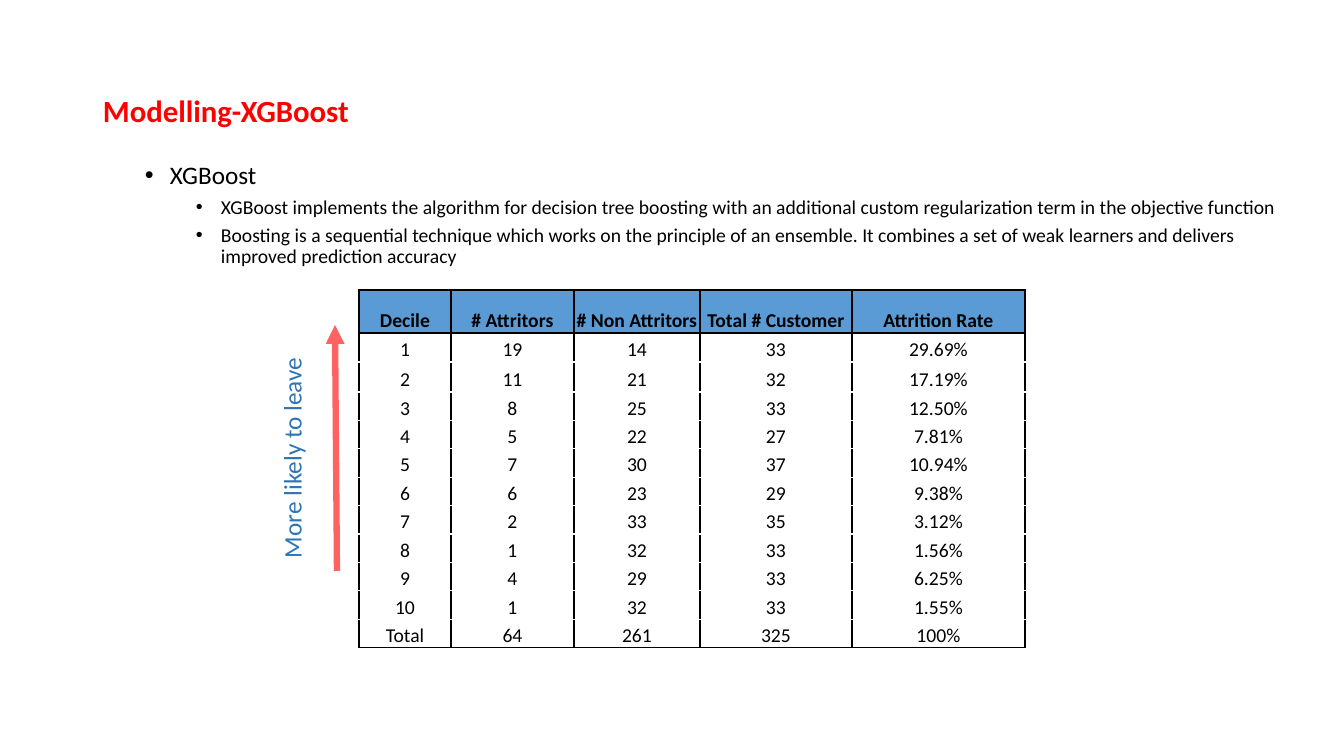
from lxml.etree import SubElement
from pptx import Presentation
from pptx.dml.color import RGBColor
from pptx.enum.shapes import MSO_CONNECTOR
from pptx.enum.text import MSO_ANCHOR, PP_ALIGN
from pptx.oxml import parse_xml
from pptx.oxml.ns import nsdecls, qn
from pptx.util import Emu, Pt

TITLE = "Modelling-XGBoost"
BULLETS = [
    (0, "XGBoost"),
    (1, "XGBoost implements the algorithm for decision tree boosting with an additional "
        "custom regularization term in the objective function"),
    (1, "Boosting is a sequential technique which works on the principle of an ensemble. "
        "It combines a set of weak learners and delivers improved prediction accuracy"),
]
DECILES = [
    ("Decile", "# Attritors", "# Non Attritors", "Total # Customer", "Attrition Rate"),
    ("1", "19", "14", "33", "29.69%"),
    ("2", "11", "21", "32", "17.19%"),
    ("3", "8", "25", "33", "12.50%"),
    ("4", "5", "22", "27", "7.81%"),
    ("5", "7", "30", "37", "10.94%"),
    ("6", "6", "23", "29", "9.38%"),
    ("7", "2", "33", "35", "3.12%"),
    ("8", "1", "32", "33", "1.56%"),
    ("9", "4", "29", "33", "6.25%"),
    ("10", "1", "32", "33", "1.55%"),
    ("Total", "64", "261", "325", "100%"),
]
ARROW_LABEL = "More likely to leave"

FONT = "Calibri"
COLORS = {"title": "FF0000", "text": "000000", "header": "5B9BD5", "body": "FFFFFF",
          "border": "000000", "arrow": "FF2929", "label": "2E75B6"}
BULLET_STYLES = {0: {"size": 18, "indent": 25, "before": 10},
                 1: {"size": 14, "indent": 76, "before": 5}}
HANGING = 25
COLUMN_WIDTHS = [92, 123, 126, 152, 173]
TABLE_LEFT, TABLE_TOP, TABLE_HEIGHT = 359, 290, 358
TOP_ROW_HEIGHTS = [43, 29, 30]


def px(length):
    """Turn pixels into EMU."""
    return Emu(round(length * 914400 / 100.8))


def style(paragraph, size, color, bold=False):
    """Format every run of a paragraph."""
    for run in paragraph.runs:
        run.font.name = FONT
        run.font.size = Pt(size)
        run.font.bold = bold
        run.font.color.rgb = RGBColor.from_string(COLORS[color])


def add_text(slide, box, wrap=True):
    """Add a text box and return it."""
    text_box = slide.shapes.add_textbox(*map(px, box))
    text_box.text_frame.word_wrap = wrap
    return text_box


def add_bullets(frame):
    """Write the bulleted points with hanging indents."""
    for number, (level, point) in enumerate(BULLETS):
        paragraph = frame.add_paragraph() if number else frame.paragraphs[0]
        look = BULLET_STYLES[level]
        paragraph.text = point
        paragraph.level = level
        paragraph.line_spacing = 0.9
        paragraph.space_before = Pt(look["before"])
        style(paragraph, look["size"], "text")
        properties = paragraph._p.get_or_add_pPr()
        properties.set("marL", str(px(look["indent"])))
        properties.set("indent", str(-px(HANGING)))
        SubElement(properties, qn("a:buFont"), typeface="Arial")
        SubElement(properties, qn("a:buChar"), char="•")


def set_borders(cell, top, bottom):
    """Draw dark sides and the given top and bottom edges."""
    edges = {"L": "border", "R": "border", "T": top, "B": bottom}
    for place, (side, color) in enumerate(edges.items()):
        cell._tc.get_or_add_tcPr().insert(place, parse_xml(
            f'<a:ln{side} {nsdecls("a")} w="{Pt(1)}"><a:solidFill>'
            f'<a:srgbClr val="{COLORS[color]}"/></a:solidFill></a:ln{side}>'))


def add_decile_table(slide):
    """Add the table of attrition by decile."""
    last = len(DECILES) - 1
    shared = len(DECILES) - len(TOP_ROW_HEIGHTS)
    heights = TOP_ROW_HEIGHTS + [(TABLE_HEIGHT - sum(TOP_ROW_HEIGHTS)) / shared] * shared
    table = slide.shapes.add_table(
        len(DECILES), len(COLUMN_WIDTHS), px(TABLE_LEFT), px(TABLE_TOP),
        px(sum(COLUMN_WIDTHS)), px(TABLE_HEIGHT)).table
    for column, width in zip(table.columns, COLUMN_WIDTHS):
        column.width = px(width)
    for r, (decile, height) in enumerate(zip(DECILES, heights)):
        table.rows[r].height = px(height)
        header = r == 0
        for c, value in enumerate(decile):
            cell = table.cell(r, c)
            cell.text_frame.text = value
            cell.vertical_anchor = MSO_ANCHOR.BOTTOM
            cell.margin_left = cell.margin_right = cell.margin_top = px(1)
            cell.margin_bottom = 0
            cell.fill.solid()
            cell.fill.fore_color.rgb = RGBColor.from_string(
                COLORS["header" if header else "body"])
            paragraph = cell.text_frame.paragraphs[0]
            paragraph.alignment = PP_ALIGN.CENTER
            style(paragraph, 14, "text", header)
            set_borders(cell, "border" if r <= 1 else "body",
                        "border" if r in (0, last) else "body")


def add_arrow(slide):
    """Add the translucent arrow pointing up to the top decile."""
    arrow = slide.shapes.add_connector(
        MSO_CONNECTOR.STRAIGHT, px(337), px(571), px(335), px(325))
    arrow.line.width = Pt(4.5)
    arrow.line.color.rgb = RGBColor.from_string(COLORS["arrow"])
    line = arrow.line._ln
    SubElement(line.find(".//" + qn("a:srgbClr")), qn("a:alpha"), val="72000")
    SubElement(line, qn("a:tailEnd"), type="triangle")
    SubElement(arrow._element.spPr, qn("a:effectLst"))


presentation = Presentation()
presentation.slide_width, presentation.slide_height = px(1344), px(756)
slide = presentation.slides.add_slide(presentation.slide_layouts[6])

title = add_text(slide, (93, 40, 1159, 146)).text_frame
title.text = TITLE
title.vertical_anchor = MSO_ANCHOR.MIDDLE
title.paragraphs[0].line_spacing = 0.9
style(title.paragraphs[0], 22, "title", True)

add_bullets(add_text(slide, (135, 158, 1159, 480)).text_frame)
add_decile_table(slide)
add_arrow(slide)

label = add_text(slide, (180, 438, 223, 40), wrap=False)
label.rotation = 270
label.text_frame.text = ARROW_LABEL
label.text_frame.paragraphs[0].alignment = PP_ALIGN.CENTER
style(label.text_frame.paragraphs[0], 18, "label")

presentation.save("out.pptx")
